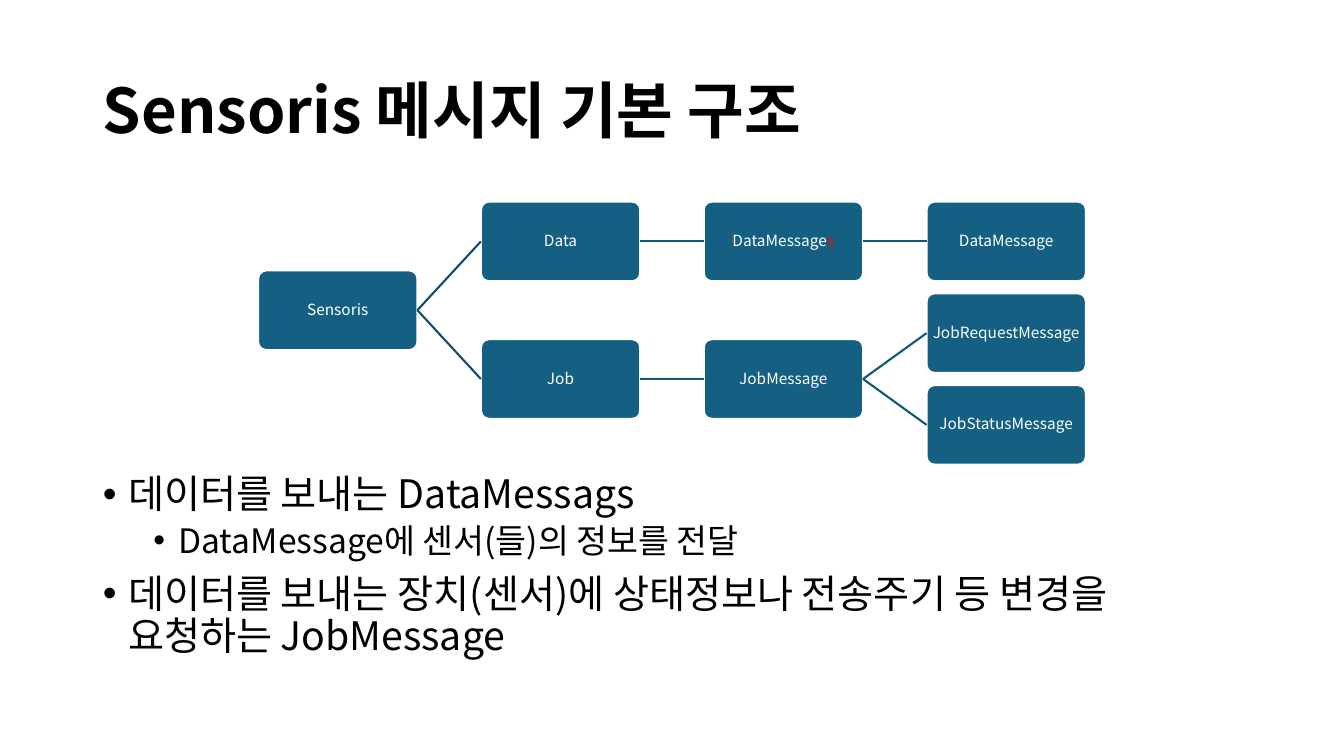
from dataclasses import dataclass, field

from lxml.etree import SubElement
from pptx import Presentation
from pptx.dml.color import RGBColor
from pptx.enum.shapes import MSO_CONNECTOR, MSO_SHAPE
from pptx.enum.text import MSO_ANCHOR, MSO_AUTO_SIZE, PP_ALIGN
from pptx.oxml.ns import qn
from pptx.shapes.autoshape import Shape
from pptx.slide import Slide
from pptx.text.text import _Paragraph
from pptx.util import Inches, Pt


@dataclass(frozen=True)
class Theme:
    font: str = "Noto Sans CJK KR"
    text: RGBColor = RGBColor(0x00, 0x00, 0x00)
    white: RGBColor = RGBColor(0xFF, 0xFF, 0xFF)
    accent: RGBColor = RGBColor(0xFF, 0x00, 0x00)
    box: RGBColor = RGBColor(0x15, 0x60, 0x82)
    root_link: RGBColor = RGBColor(0x11, 0x4D, 0x68)
    link: RGBColor = RGBColor(0x13, 0x57, 0x76)
    title_size: int = 44
    bullet_sizes: tuple[int, ...] = (28, 24)
    box_size: int = 11
    line_width: float = 1.5


@dataclass(frozen=True)
class Bullet:
    text: str
    level: int = 0


@dataclass(frozen=True)
class Message:
    """A message type; a leaf has its own row, a parent is centred on its children."""
    name: str
    children: list["Message"] = field(default_factory=list)
    leaf_row: int = 0
    accent_suffix: str = ""

    def row(self) -> float:
        if not self.children:
            return self.leaf_row
        return sum(child.row() for child in self.children) / len(self.children)


THEME = Theme()
TREE_LEFT, TREE_TOP = 2.56, 2.0
BOX_WIDTH, BOX_HEIGHT = 1.58, 0.79
COLUMN_PITCH, ROW_PITCH = 2.21, 0.91

TITLE = "Sensoris 메시지 기본 구조"
BULLETS = [
    Bullet("데이터를 보내는 DataMessags"),
    Bullet("DataMessage에 센서(들)의 정보를 전달", level=1),
    Bullet("데이터를 보내는 장치(센서)에 상태정보나 전송주기 등 변경을 요청하는 JobMessage"),
]
SENSORIS = Message("Sensoris", [
    Message("Data", [
        Message("DataMessage", [Message("DataMessage", leaf_row=0)], accent_suffix="s"),
    ]),
    Message("Job", [
        Message("JobMessage", [
            Message("JobRequestMessage", leaf_row=1),
            Message("JobStatusMessage", leaf_row=2),
        ]),
    ]),
])


def add_run(paragraph: _Paragraph, text: str, size: int, color: RGBColor,
            bold: bool = False) -> None:
    """Add a run whose font covers both Latin and Korean letters."""
    run = paragraph.add_run()
    run.text = text
    run.font.name = THEME.font
    run.font.size = Pt(size)
    run.font.bold = bold
    run.font.color.rgb = color
    SubElement(run.font._element, qn("a:ea"), typeface=THEME.font)


def place(shape: Shape, left: float, top: float, width: float, height: float) -> None:
    shape.left, shape.top = Inches(left), Inches(top)
    shape.width, shape.height = Inches(width), Inches(height)


def fill_title(title: Shape) -> None:
    place(title, 0.92, 0.4, 11.5, 1.45)
    frame = title.text_frame
    frame.auto_size = MSO_AUTO_SIZE.NONE
    frame.vertical_anchor = MSO_ANCHOR.MIDDLE
    heading = frame.paragraphs[0]
    heading.alignment = PP_ALIGN.LEFT
    heading.line_spacing = 0.9
    add_run(heading, TITLE, THEME.title_size, THEME.text, bold=True)


def fill_bullets(body: Shape) -> None:
    place(body, 0.92, 4.66, 11.5, 2.1)
    frame = body.text_frame
    frame.auto_size = MSO_AUTO_SIZE.NONE
    for index, bullet in enumerate(BULLETS):
        paragraph = frame.add_paragraph() if index else frame.paragraphs[0]
        paragraph.level = bullet.level
        paragraph.line_spacing = 0.9
        paragraph.space_before = Pt(5 if bullet.level else 10)
        properties = paragraph._p.get_or_add_pPr()
        properties.set("marL", str(Inches(0.25 + 0.5 * bullet.level)))
        properties.set("indent", str(Inches(-0.25)))
        SubElement(properties, qn("a:buFont"), typeface="Arial")
        SubElement(properties, qn("a:buChar"), char="•")
        add_run(paragraph, bullet.text, THEME.bullet_sizes[bullet.level], THEME.text)


def add_box(slide: Slide, message: Message, depth: int) -> Shape:
    box = slide.shapes.add_shape(
        MSO_SHAPE.ROUNDED_RECTANGLE,
        Inches(TREE_LEFT + depth * COLUMN_PITCH),
        Inches(TREE_TOP + message.row() * ROW_PITCH),
        Inches(BOX_WIDTH), Inches(BOX_HEIGHT))
    box.adjustments[0] = 0.1
    box.shadow.inherit = False
    box.fill.solid()
    box.fill.fore_color.rgb = THEME.box
    box.line.color.rgb = THEME.white
    box.line.width = Pt(THEME.line_width)
    frame = box.text_frame
    frame.word_wrap = True
    frame.vertical_anchor = MSO_ANCHOR.MIDDLE
    frame.margin_left = frame.margin_right = Inches(0.03)
    frame.margin_top = frame.margin_bottom = Inches(0.03)
    label = frame.paragraphs[0]
    label.alignment = PP_ALIGN.CENTER
    label.line_spacing = 0.9
    add_run(label, message.name, THEME.box_size, THEME.white)
    if message.accent_suffix:
        add_run(label, message.accent_suffix, THEME.box_size, THEME.accent)
    return box


def add_link(slide: Slide, parent: Shape, child: Shape, color: RGBColor) -> None:
    link = slide.shapes.add_connector(MSO_CONNECTOR.STRAIGHT, 0, 0, 0, 0)
    link.begin_connect(parent, 3)
    link.end_connect(child, 1)
    link.line.color.rgb = color
    link.line.width = Pt(THEME.line_width)
    SubElement(link._element.spPr, qn("a:effectLst"))


def add_tree(slide: Slide, message: Message, depth: int = 0) -> Shape:
    """Draw a message with everything below it and return its own box."""
    box = add_box(slide, message, depth)
    for child in message.children:
        child_box = add_tree(slide, child, depth + 1)
        add_link(slide, box, child_box, THEME.link if depth else THEME.root_link)
    return box


def main() -> None:
    presentation = Presentation()
    presentation.slide_width = Inches(13.33)
    presentation.slide_height = Inches(7.5)
    slide = presentation.slides.add_slide(presentation.slide_layouts[1])
    fill_title(slide.shapes.title)
    fill_bullets(slide.placeholders[1])
    add_tree(slide, SENSORIS)
    presentation.save("out.pptx")


if __name__ == "__main__":
    main()
